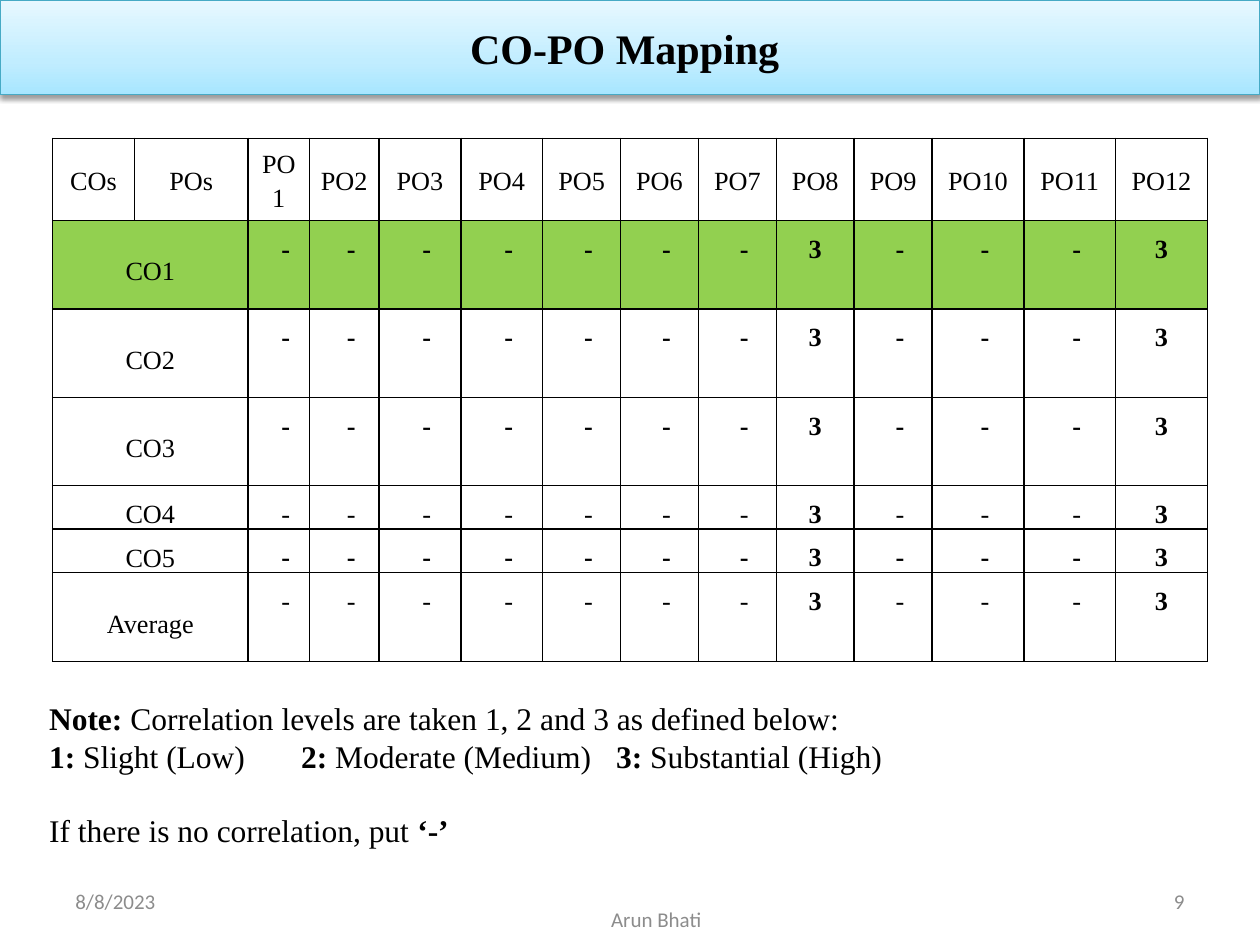
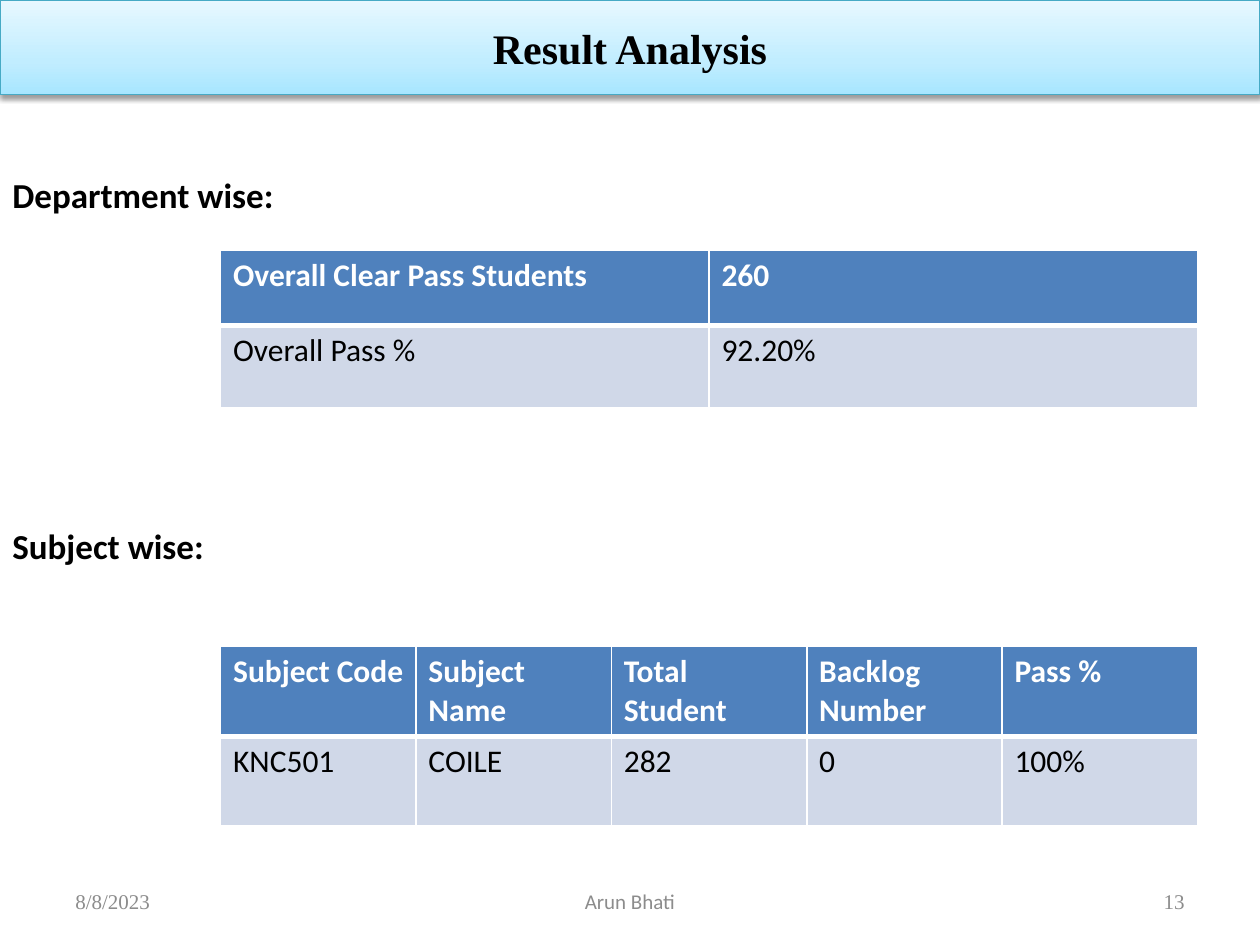
from dataclasses import dataclass, field, replace

from pptx import Presentation
from pptx import util as u
from pptx.dml.color import RGBColor
from pptx.enum import text as t
from pptx.oxml import parse_xml
from pptx.oxml.ns import nsdecls

BLACK, WHITE, GREY = "000000", "FFFFFF", "8C8C8C"
HEADER_BLUE, BODY_BLUE, CO1_GREEN = "4F81BD", "D0D8E8", "92D050"
BAND_LINE = "46AAC5"
BAND_STOPS = {0: "A7E6FF", 35: "C1EDFF", 100: "E7F8FF"}
SERIF, SANS = "Times New Roman", "Calibri"
Line = list[tuple[str, bool]]


@dataclass(frozen=True)
class Box:
    """Place and size in centimetres."""
    left: float
    top: float
    width: float
    height: float

    def lengths(self) -> list[u.Length]:
        return [u.Cm(v) for v in (self.left, self.top, self.width, self.height)]


@dataclass(frozen=True)
class Style:
    size: float
    font: str = SANS
    color: str = BLACK
    bold: bool = False
    align: t.PP_ALIGN = t.PP_ALIGN.LEFT
    anchor: t.MSO_ANCHOR = t.MSO_ANCHOR.TOP
    spacing: float = 1.0
    indent: float = 0
    margins: tuple[float, float] = (0.25, 0.13)


@dataclass(frozen=True)
class Border:
    """Line widths in points for each side of a cell."""
    color: str
    widths: dict[str, float] = field(default_factory=lambda: dict.fromkeys("LRTB", 1))


@dataclass(frozen=True)
class Cell:
    text: str
    style: Style
    border: Border
    fill: str | None = None


@dataclass(frozen=True)
class Footer:
    text: str
    box: Box
    style: Style


def rgb(value: str) -> RGBColor:
    return RGBColor.from_string(value)


def apply(target, formats: dict) -> None:
    for name, value in formats.items():
        setattr(target, name, value)


def write(frame, content: str | list[Line], style: Style) -> None:
    """Fill a text frame with plain lines, or with lines of (text, bold) runs."""
    if isinstance(content, str):
        content = [[(line, style.bold)] for line in content.split("\n")]
    apply(frame, {"word_wrap": True, "auto_size": t.MSO_AUTO_SIZE.NONE,
                  "vertical_anchor": style.anchor})
    for index, line in enumerate(content):
        paragraph = frame.add_paragraph() if index else frame.paragraphs[0]
        apply(paragraph, {"alignment": style.align, "line_spacing": style.spacing})
        if style.indent:
            properties = paragraph._p.get_or_add_pPr()
            properties.set("marL", str(int(u.Cm(style.indent))))
            properties.set("indent", "0")
        for words, bold in line:
            run = paragraph.add_run()
            run.text = words
            apply(run.font, {"name": style.font, "size": u.Pt(style.size), "bold": bold})
            run.font.color.rgb = rgb(style.color)


def add_text(slide, box: Box, content: str | list[Line], style: Style):
    frame = slide.shapes.add_textbox(*box.lengths()).text_frame
    write(frame, content, style)
    return frame


def add_titled_slide(deck, heading: str):
    slide = deck.slides.add_slide(deck.slide_layouts[5])
    band = slide.shapes.title
    apply(band, dict(zip(("left", "top", "width", "height"),
                         Box(0, 0, 25.4, 1.91).lengths())))
    stops = "".join(f'<a:gs pos="{at * 1000}"><a:srgbClr val="{color}"/></a:gs>'
                    for at, color in BAND_STOPS.items())
    properties = band._element.spPr
    properties.append(parse_xml(
        f'<a:gradFill {nsdecls("a")} rotWithShape="1"><a:gsLst>{stops}</a:gsLst>'
        '<a:lin ang="16200000" scaled="0"/></a:gradFill>'))
    band.line.color.rgb = rgb(BAND_LINE)
    band.line.width = u.Pt(0.75)
    properties.append(parse_xml(
        f'<a:effectLst {nsdecls("a")}><a:outerShdw blurRad="40000" dist="20000" '
        'dir="5400000" rotWithShape="0"><a:srgbClr val="000000">'
        '<a:alpha val="38000"/></a:srgbClr></a:outerShdw></a:effectLst>'))
    write(band.text_frame, heading,
          Style(24, SERIF, bold=True, align=t.PP_ALIGN.CENTER, anchor=t.MSO_ANCHOR.MIDDLE))
    return slide


def add_footers(slide, number: str, font: str, author_box: Box) -> None:
    """Date and number share a font; the author always stays in the sans font."""
    base = Style(12, font, GREY, anchor=t.MSO_ANCHOR.MIDDLE)
    for footer in (
        Footer("8/8/2023", Box(1.27, 17.66, 5.93, 1.01), base),
        Footer(number, Box(18.2, 17.66, 5.93, 1.01), replace(base, align=t.PP_ALIGN.RIGHT)),
        Footer("Arun Bhati", author_box,
               replace(base, font=SANS, align=t.PP_ALIGN.CENTER)),
    ):
        add_text(slide, footer.box, footer.text, footer.style)


def format_cell(target, cell: Cell) -> None:
    side, end = (u.Cm(margin) for margin in cell.style.margins)
    apply(target, {"margin_left": side, "margin_right": side, "margin_top": end,
                   "margin_bottom": end, "vertical_anchor": cell.style.anchor})
    properties = target._tc.get_or_add_tcPr()
    for edge, width in cell.border.widths.items():
        properties.append(parse_xml(
            f'<a:ln{edge} {nsdecls("a")} w="{int(u.Pt(width))}"><a:solidFill>'
            f'<a:srgbClr val="{cell.border.color}"/></a:solidFill></a:ln{edge}>'))
    if cell.fill:
        target.fill.solid()
        target.fill.fore_color.rgb = rgb(cell.fill)
    else:
        target.fill.background()


def write_cell(target, cell: Cell) -> None:
    format_cell(target, cell)
    frame = target.text_frame
    for index, words in enumerate(cell.text.split("\n")):
        paragraph = frame.add_paragraph() if index else frame.paragraphs[0]
        apply(paragraph, {"alignment": cell.style.align, "line_spacing": cell.style.spacing})
        if cell.style.indent:
            paragraph._p.get_or_add_pPr().set("marL", str(int(u.Cm(cell.style.indent))))
        run = paragraph.add_run()
        run.text = words
        apply(run.font, {"name": cell.style.font, "size": u.Pt(cell.style.size),
                         "bold": cell.style.bold})
        run.font.color.rgb = rgb(cell.style.color)


def add_grid(slide, left: float, top: float, widths: list[float], heights: list[float],
             rows: list[list[Cell]]):
    box = Box(left, top, sum(widths), sum(heights))
    table = slide.shapes.add_table(len(rows), len(widths), *box.lengths()).table
    table.horz_banding = False
    for column, width in zip(table.columns, widths):
        column.width = u.Cm(width)
    for row, height, cells in zip(table.rows, heights, rows):
        row.height = u.Cm(height)
        for target, cell in zip(row.cells, cells):
            write_cell(target, cell)
    return table


def mapping_rows() -> list[list[Cell]]:
    border = Border(BLACK)
    head = Style(15, SERIF, align=t.PP_ALIGN.CENTER, anchor=t.MSO_ANCHOR.MIDDLE,
                 spacing=1.15, margins=(0.18, 0))
    outcome = replace(head, spacing=1.5)
    level = replace(outcome, anchor=t.MSO_ANCHOR.TOP, bold=True)
    programme = [f"PO{n}" for n in range(1, 13)]
    rows = [[Cell(words, head, border) for words in ["COs", "POs", *programme]]]
    for name in ["CO1", "CO2", "CO3", "CO4", "CO5", "Average"]:
        fill = CO1_GREEN if name == "CO1" else None
        dash = replace(level, indent=0.28, bold=name not in ("CO4", "Average"))
        rows.append(
            [Cell(words, outcome, border, fill) for words in (name, "")]
            + [Cell("3", level, border, fill) if po in ("PO8", "PO12")
               else Cell("-", dash, border, fill) for po in programme])
    return rows


def add_mapping_slide(deck) -> None:
    slide = add_titled_slide(deck, "CO-PO Mapping ")
    widths = [1.65, 2.29, 1.24, 1.4, 1.65, 1.65] + [1.57] * 5 + [1.85] * 3
    heights = [1.66] + [1.78] * 3 + [0.83] * 2 + [1.79]
    mapping = add_grid(slide, 1.06, 2.79, widths, heights, mapping_rows())
    for row in range(1, len(heights)):
        mapping.cell(row, 0).merge(mapping.cell(row, 1))
    note = add_text(slide, Box(0.74, 13.94, 24.36, 3.33), [
        [("Note: ", True),
         ("Correlation levels are taken 1, 2 and 3 as defined below:", False)],
        [("1: ", True), ("Slight (Low)", False), ("\t2: ", True),
         ("Moderate (Medium)", False), ("\t3: ", True), ("Substantial (High)", False)],
        [("If there is no correlation, put", False), (" ‘-’", True)],
    ], Style(18, SERIF, align=t.PP_ALIGN.JUSTIFY, anchor=t.MSO_ANCHOR.MIDDLE))
    note.paragraphs[2].space_before = u.Pt(21)
    add_footers(slide, "9", SANS, Box(5.08, 18.03, 16.3, 1.01))


def add_result_slide(deck) -> None:
    slide = add_titled_slide(deck, "Result Analysis")
    add_footers(slide, "13", SERIF, Box(8.68, 17.66, 8.04, 1.01))
    body = Style(18)
    head = replace(body, color=WHITE, bold=True)
    head_border = Border(WHITE, {"L": 1, "R": 1, "T": 1, "B": 3})
    body_border = Border(WHITE, {"L": 1, "R": 1, "T": 3, "B": 1})
    for caption, caption_top, top, heights, headings, values in (
        ("Department wise:", 3.38, 5.04, [1.52, 1.65],
         ["Overall Clear Pass Students", "260"], ["Overall Pass %", "92.20%"]),
        ("Subject wise:", 10.44, 13.03, [1.78, 1.8],
         ["Subject Code", "Subject Name", "Total Student", "Backlog\nNumber", "Pass %"],
         ["KNC501", "COILE", "282", "0", "100%"]),
    ):
        add_text(slide, Box(0, caption_top, 6.35, 1.11), caption, Style(20, bold=True))
        add_grid(slide, 4.45, top, [19.69 / len(values)] * len(values), heights,
                 [[Cell(words, head, head_border, HEADER_BLUE) for words in headings],
                  [Cell(words, body, body_border, BODY_BLUE) for words in values]])


def main() -> None:
    deck = Presentation()
    apply(deck, {"slide_width": u.Cm(25.4), "slide_height": u.Cm(19.05)})
    add_mapping_slide(deck)
    add_result_slide(deck)
    deck.save("out.pptx")


if __name__ == "__main__":
    main()
